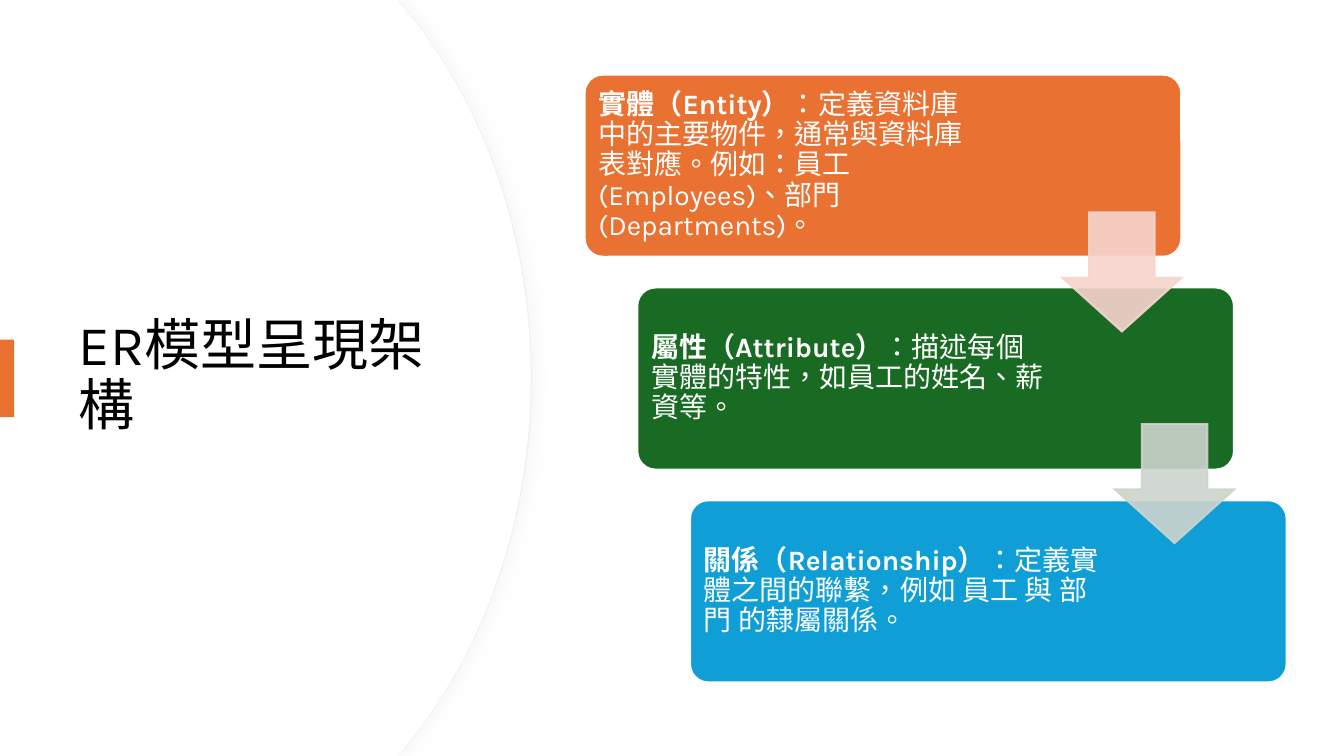
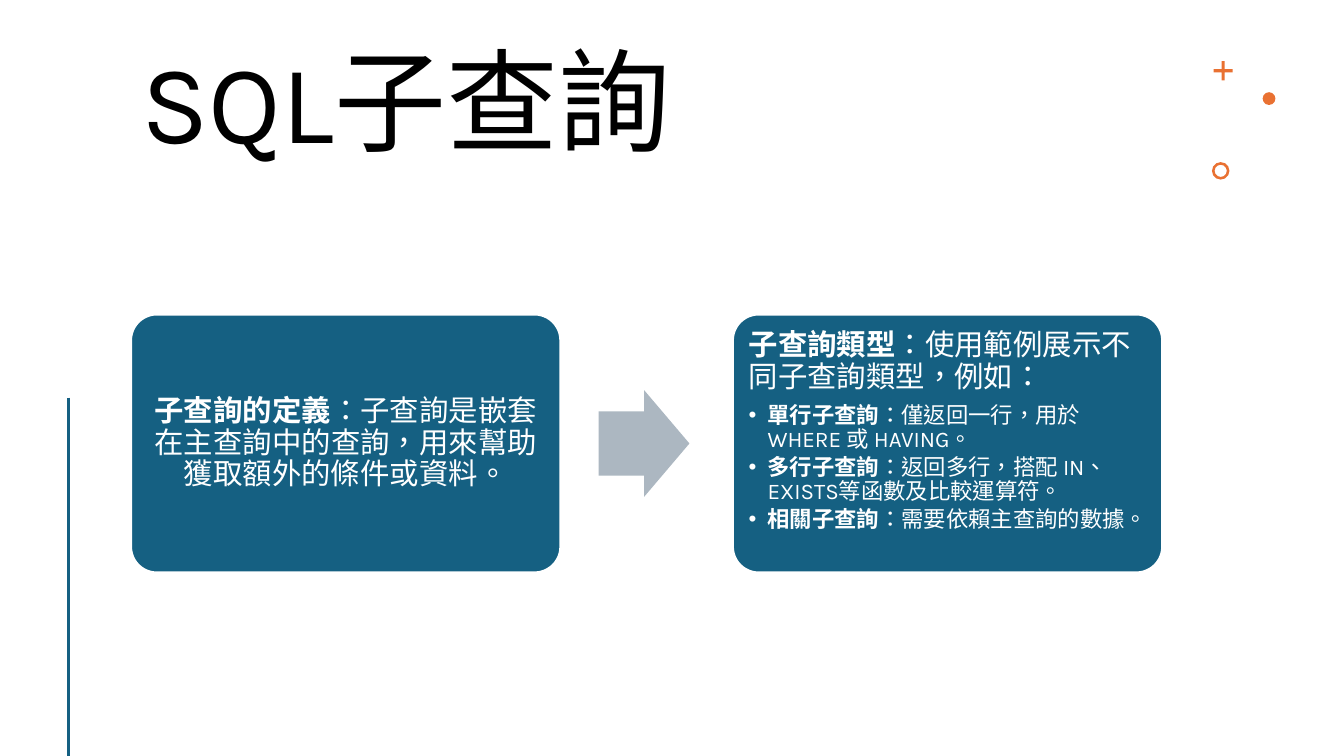
"""Build two slides on the ER model and SQL subqueries."""

import dataclasses
import typing

import lxml.etree
import pptx
import pptx.dml.color
import pptx.enum.shapes
import pptx.enum.text
import pptx.oxml.ns
import pptx.util

qn = pptx.oxml.ns.qn
Pt = pptx.util.Pt
PRESET = pptx.enum.shapes.MSO_SHAPE
ANCHOR = pptx.enum.text.MSO_ANCHOR
ALIGN = pptx.enum.text.PP_ALIGN

WIDTH = pptx.util.Inches(13.333)
HEIGHT = pptx.util.Inches(7.5)
FONT = "Karla"
LANGUAGE = "zh-TW"
COLORS = {
    "white": "FFFFFF",
    "black": "000000",
    "edge": "EFEFEF",
    "shade": "D9D9D9",
    "orange": "E97132",
    "green": "196B24",
    "sky": "0F9ED5",
    "teal": "156082",
    "rose": "F7D5CE",
    "sage": "CCD4CD",
    "steel": "ACB7C1",
}


@dataclasses.dataclass(frozen=True)
class Area:
    """Left, top, width and height in percent of the slide."""

    left: float
    top: float
    width: float
    height: float

    def moved(self, right: float, down: float = 0) -> "Area":
        return dataclasses.replace(self, left=self.left + right, top=self.top + down)

    def shrunk(self, side: float, end: float) -> "Area":
        return Area(self.left + side, self.top + end,
                    self.width - 2 * side, self.height - 2 * end)

    def lengths(self) -> tuple[int, int, int, int]:
        return (across(self.left), down(self.top), across(self.width), down(self.height))


@dataclasses.dataclass(frozen=True)
class Entry:
    """A bold term followed by its explanation."""

    term: str
    meaning: str


@dataclasses.dataclass(frozen=True)
class Concept:
    """One card of the ER cascade."""

    entry: Entry
    color: str
    right_inset: float


@dataclasses.dataclass(frozen=True)
class Ornament:
    """A small corner decoration."""

    preset: typing.Any
    area: Area
    adjustments: tuple[float, ...] = ()


CONCEPTS = (
    Concept(Entry("實體（Entity）", "：定義資料庫中的主要物件，通常與資料庫表對應。例如：員工 (Employees)、部門 (Departments)。"), "orange", 140),
    Concept(Entry("屬性（Attribute）", "：描述每個實體的特性，如員工的姓名、薪資等。"), "green", 129),
    Concept(Entry("關係（Relationship）", "：定義實體之間的聯繫，例如 員工 與 部門 的隸屬關係。"), "sky", 129),
)
DEFINITION = Entry("子查詢的定義", "：子查詢是嵌套在主查詢中的查詢，用來幫助獲取額外的條件或資料。")
KINDS_HEADING = Entry("子查詢類型", "：使用範例展示不同子查詢類型，例如：")
KINDS = (
    Entry("單行子查詢", "：僅返回一行，用於 WHERE 或 HAVING。"),
    Entry("多行子查詢", "：返回多行，搭配 IN、 EXISTS等函數及比較運算符。"),
    Entry("相關子查詢", "：需要依賴主查詢的數據。"),
)
ORNAMENTS = (
    Ornament(PRESET.CROSS, Area(90.3, 8.1, 1.42, 2.53), (0.42,)),
    Ornament(PRESET.OVAL, Area(93.95, 12.2, 0.95, 1.69)),
    Ornament(PRESET.DONUT, Area(90.18, 21.45, 1.3, 2.31), (0.15,)),
)


def across(share: float) -> int:
    return round(WIDTH * share / 100)


def down(share: float) -> int:
    return round(HEIGHT * share / 100)


def rgb(color: str) -> pptx.dml.color.RGBColor:
    return pptx.dml.color.RGBColor.from_string(COLORS[color])


def paint(shape: typing.Any, fill: str, line: str | None = None, weight: float = 1.5) -> None:
    shape.shadow.inherit = False
    shape.fill.solid()
    shape.fill.fore_color.rgb = rgb(fill)
    if line is None:
        shape.line.fill.background()
    else:
        shape.line.color.rgb = rgb(line)
        shape.line.width = Pt(weight)
        lxml.etree.SubElement(shape.element.spPr.find(qn("a:ln")), qn("a:miter"), lim="800000")


def add_preset(slide: typing.Any, preset: typing.Any, area: Area, fill: str,
               line: str | None = None, adjustments: tuple[float, ...] = ()) -> typing.Any:
    shape = slide.shapes.add_shape(preset, *area.lengths())
    for index, value in enumerate(adjustments):
        shape.adjustments[index] = value
    paint(shape, fill, line)
    return shape


def add_card(slide: typing.Any, area: Area, color: str) -> typing.Any:
    return add_preset(slide, PRESET.ROUNDED_RECTANGLE, area, color, "white", (0.1,))


def set_transparent(shape: typing.Any, opacity: int) -> None:
    for color in shape.element.spPr.iter(qn("a:srgbClr")):
        lxml.etree.SubElement(color, qn("a:alpha"), val=str(opacity * 1000))


def add_run(paragraph: typing.Any, text: str, size: float, color: str, bold: bool = False) -> None:
    run = paragraph.add_run()
    run.text = text
    run.font.name = FONT
    run.font.size = Pt(size)
    run.font.bold = bold
    run.font.color.rgb = rgb(color)
    run._r.get_or_add_rPr().set("lang", LANGUAGE)


def write_entry(paragraph: typing.Any, entry: Entry, size: float, after: float,
                align: typing.Any = ALIGN.LEFT) -> None:
    paragraph.alignment = align
    paragraph.line_spacing = 0.9
    paragraph.space_before = Pt(0)
    paragraph.space_after = Pt(after)
    add_run(paragraph, entry.term, size, "white", True)
    add_run(paragraph, entry.meaning, size, "white")


def set_bullet(paragraph: typing.Any, symbol: str | None, indent: float = 0) -> None:
    properties = paragraph._p.get_or_add_pPr()
    properties.set("marL", str(Pt(indent)))
    properties.set("indent", str(-Pt(indent)))
    if symbol is None:
        lxml.etree.SubElement(properties, qn("a:buNone"))
    else:
        lxml.etree.SubElement(properties, qn("a:buChar"), char=symbol)


def set_frame(frame: typing.Any, inset: float, anchor: typing.Any,
              right: float | None = None) -> None:
    frame.word_wrap = True
    frame.auto_size = pptx.enum.text.MSO_AUTO_SIZE.NONE
    frame.vertical_anchor = anchor
    frame.margin_left = frame.margin_top = frame.margin_bottom = Pt(inset)
    frame.margin_right = Pt(inset if right is None else right)


def place_in_front(placeholder: typing.Any, area: Area) -> None:
    placeholder.left, placeholder.top, placeholder.width, placeholder.height = area.lengths()
    placeholder.element.getparent().append(placeholder.element)


def write_title(slide: typing.Any, text: str, area: Area, size: float, anchor: typing.Any) -> None:
    title = slide.shapes.title
    place_in_front(title, area)
    title.text_frame.word_wrap = True
    title.text_frame.auto_size = pptx.enum.text.MSO_AUTO_SIZE.NONE
    title.text_frame.vertical_anchor = anchor
    paragraph = title.text_frame.paragraphs[0]
    paragraph.alignment = ALIGN.LEFT
    paragraph.line_spacing = 0.9
    add_run(paragraph, text, size, "black")


def add_curved_panel(slide: typing.Any, bulge: float) -> typing.Any:
    upper = [(29.55, 0), (30.08, 1.07), (35.93, 13.6), (bulge, 30.93)]
    lower = [(x, 100 - y) for x, y in reversed(upper)]
    outline = slide.shapes.build_freeform(0, 0, scale=1.0)
    outline.add_line_segments(
        [(across(x), down(y)) for x, y in (*upper, (bulge, 50), *lower, (0, 100))], close=True)
    panel = outline.convert_to_shape()
    segments = list(panel.element.spPr.iter(qn("a:lnTo")))
    for first in (2, 5):
        curve = lxml.etree.Element(qn("a:cubicBezTo"))
        segments[first].addprevious(curve)
        for segment in segments[first:first + 3]:
            curve.append(segment[0])
            segment.getparent().remove(segment)
    return panel


def add_soft_shadow(shape: typing.Any) -> None:
    effects = shape.element.spPr.find(qn("a:effectLst"))
    shadow = lxml.etree.SubElement(effects, qn("a:outerShdw"), blurRad=str(Pt(10)),
                                   dist=str(Pt(3)), dir="0", algn="l", rotWithShape="0")
    color = lxml.etree.SubElement(shadow, qn("a:srgbClr"), val=COLORS["shade"])
    lxml.etree.SubElement(color, qn("a:alpha"), val="22000")


def build_er_slide(deck: typing.Any) -> None:
    slide = deck.slides.add_slide(deck.slide_layouts[5])
    rim = add_curved_panel(slide, 39.53)
    paint(rim, "white", "edge", 0.75)
    add_soft_shadow(rim)
    paint(add_curved_panel(slide, 39.45), "white")
    write_title(slide, "ER模型呈現架構", Area(5.1, 16.93, 29.55, 66), 40, ANCHOR.MIDDLE)
    add_preset(slide, PRESET.RECTANGLE, Area(0, 44.93, 1.05, 10.27), "orange")

    first_card, first_arrow = Area(43.5, 9.87, 44.4, 24.1), Area(79.05, 28.1, 8.85, 15.73)
    for index, concept in enumerate(CONCEPTS):
        card = add_card(slide, first_card.moved(3.92 * index, 28.15 * index), concept.color)
        set_frame(card.text_frame, 6, ANCHOR.MIDDLE, concept.right_inset)
        write_entry(card.text_frame.paragraphs[0], concept.entry, 20, 7)
    for index, color in enumerate(("rose", "sage")):
        arrow = add_preset(slide, PRESET.DOWN_ARROW, first_arrow.moved(3.92 * index, 28 * index),
                           color, color, (0.55, 0.45))
        set_transparent(arrow, 90)


def build_subquery_slide(deck: typing.Any) -> None:
    slide = deck.slides.add_slide(deck.slide_layouts[1])
    title_area = Area(9.75, 5.5, 76.73, 17.47)
    write_title(slide, "SQL子查詢", title_area, 80, ANCHOR.TOP)
    for ornament in ORNAMENTS:
        add_preset(slide, ornament.preset, ornament.area, "orange",
                   adjustments=ornament.adjustments)

    rule = slide.shapes.add_connector(pptx.enum.shapes.MSO_CONNECTOR.STRAIGHT,
                                      across(5.1), down(52.6), across(5.1), down(99.95))
    rule.line.color.rgb = rgb("teal")
    rule.line.width = Pt(2)
    lxml.etree.SubElement(rule.element.spPr, qn("a:effectLst"))

    definition_area = Area(title_area.left, 41.6, 31.95, 34.13)
    kinds_area = definition_area.moved(title_area.width - definition_area.width)
    definition = add_card(slide, definition_area, "teal")
    set_frame(definition.text_frame, 6.5, ANCHOR.MIDDLE)
    write_entry(definition.text_frame.paragraphs[0], DEFINITION, 21, 7.35, ALIGN.CENTER)
    add_preset(slide, PRESET.RIGHT_ARROW, Area(44.55, 51.6, 6.75, 14.13), "steel",
               adjustments=(0.6, 0.5))
    add_card(slide, kinds_area, "teal")

    kinds = slide.placeholders[1]
    place_in_front(kinds, kinds_area.shrunk(0.52, 0.95))
    set_frame(kinds.text_frame, 6.3, ANCHOR.TOP)
    heading = kinds.text_frame.paragraphs[0]
    write_entry(heading, KINDS_HEADING, 21, 7.35)
    set_bullet(heading, None)
    for kind in KINDS:
        item = kinds.text_frame.add_paragraph()
        item.level = 1
        write_entry(item, kind, 16, 2.4)
        set_bullet(item, "•", 13.5)


def main() -> None:
    deck = pptx.Presentation()
    deck.slide_width, deck.slide_height = WIDTH, HEIGHT
    build_er_slide(deck)
    build_subquery_slide(deck)
    deck.save("out.pptx")


if __name__ == "__main__":
    main()
